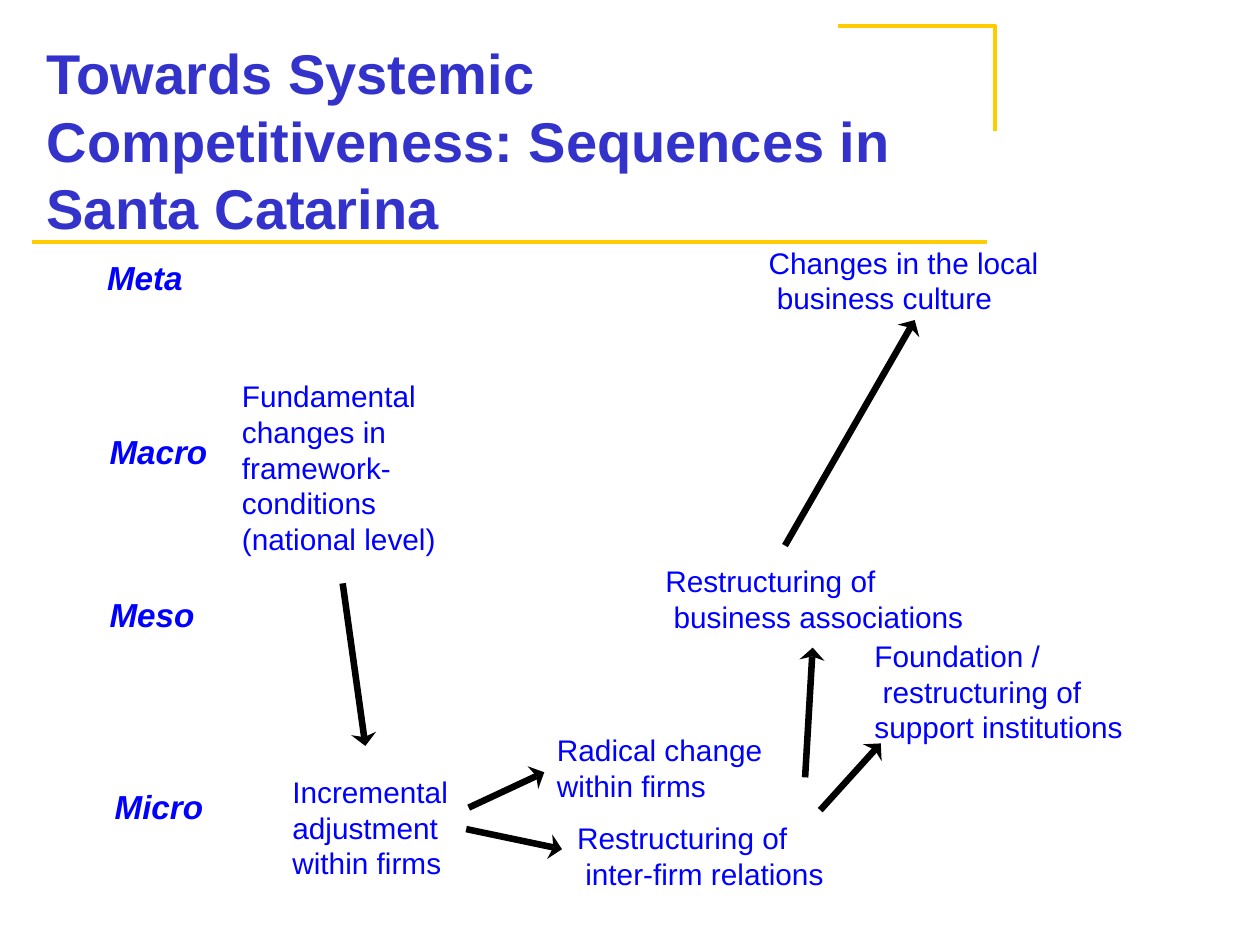
from math import hypot

from lxml import etree
from pptx import Presentation
from pptx.dml.color import RGBColor
from pptx.enum.shapes import MSO_CONNECTOR
from pptx.enum.text import MSO_ANCHOR, MSO_AUTO_SIZE, PP_ALIGN
from pptx.oxml.ns import qn
from pptx.util import Inches, Pt

STRAIGHT = MSO_CONNECTOR.STRAIGHT
MIDDLE = MSO_ANCHOR.MIDDLE
NO_FIT = MSO_AUTO_SIZE.NONE
LEFT = PP_ALIGN.LEFT

GOLD = RGBColor(0xFF, 0xCC, 0x00)
INDIGO = RGBColor(0x33, 0x33, 0xCC)
BLUE = RGBColor(0x00, 0x00, 0xFF)
BLACK = RGBColor(0x00, 0x00, 0x00)

WRAP_SLACK = 0.05
HEAD_LENGTH, HEAD_HALF_WIDTH, NECK_LENGTH = 0.1, 0.1, 0.07

LEVELS = [
    ("Meta", 0.85, 2.04, 0.6),
    ("Macro", 0.87, 3.42, 0.78),
    ("Meso", 0.87, 4.72, 0.67),
    ("Micro", 0.91, 6.24, 0.7),
]
STEPS = [
    ("Fundamental\vchanges in\vframework-\vconditions\v(national level)", 1.92, 3, 1.54, 1.42),
    ("Incremental\vadjustment\nwithin firms", 2.32, 6.14, 1.24, 0.85),
    ("Radical change\vwithin firms", 4.42, 5.81, 1.63, 0.57),
    ("Restructuring of\v inter-firm relations", 4.58, 6.51, 1.96, 0.57),
    ("Foundation /\v restructuring of\vsupport institutions", 6.94, 5.06, 1.97, 0.85),
    ("Restructuring of\v business associations", 5.28, 4.47, 2.37, 0.57),
    ("Changes in the local\v business culture", 6.1, 1.94, 2.15, 0.57),
]
ARROWS = [
    (2.72, 4.63, 2.9, 5.92),
    (3.72, 6.41, 4.32, 6.13),
    (3.7, 6.58, 4.46, 6.74),
    (6.39, 6.17, 6.45, 5.14),
    (6.51, 6.43, 6.99, 5.9),
    (6.23, 4.33, 7.26, 2.54),
]

deck = Presentation()
deck.slide_width, deck.slide_height = Inches(10), Inches(7.5)
page = deck.slides.add_slide(deck.slide_layouts[5])


def add_line(x1, y1, x2, y2, color, width):
    line = page.shapes.add_connector(STRAIGHT, Inches(x1), Inches(y1), Inches(x2), Inches(y2))
    line.line.color.rgb = color
    line.line.width = Pt(width)
    etree.SubElement(line._element.spPr, qn("a:effectLst"))


def format_text(frame, size, color, bold=False, italic=False):
    frame.word_wrap = True
    frame.auto_size = NO_FIT
    for para in frame.paragraphs:
        para.alignment = LEFT
        para.font.name = "Arial"
        para.font.size = Pt(size)
        para.font.bold = bold
        para.font.italic = italic
        para.font.color.rgb = color


add_line(0.25, 1.92, 7.83, 1.92, GOLD, 2)
builder = page.shapes.build_freeform(Inches(6.65), Inches(0.21))
builder.add_line_segments([(Inches(7.9), Inches(0.21)), (Inches(7.9), Inches(1.04))], close=False)
corner = builder.convert_to_shape()
corner.shadow.inherit = False
corner.fill.background()
corner.line.color.rgb = GOLD
corner.line.width = Pt(2.25)

title = page.shapes.title
title.left, title.top, title.width, title.height = Inches(0.27), Inches(0.36), Inches(7.48), Inches(1.5)
title.text_frame.text = "Towards Systemic Competitiveness: Sequences in Santa Catarina"
title.text_frame.vertical_anchor = MIDDLE
format_text(title.text_frame, 32, INDIGO, bold=True)

labels = [(*level, 0.32, 19, True) for level in LEVELS] + [(*step, 17, False) for step in STEPS]
for text, left, top, width, height, size, strong in labels:
    box = page.shapes.add_textbox(Inches(left), Inches(top), Inches(width + WRAP_SLACK), Inches(height))
    frame = box.text_frame
    frame.margin_left = frame.margin_top = frame.margin_right = frame.margin_bottom = 0
    frame.text = text
    format_text(frame, size, BLUE, bold=strong, italic=strong)

for x1, y1, tip_x, tip_y in ARROWS:
    length = hypot(tip_x - x1, tip_y - y1)
    dx, dy = (tip_x - x1) / length, (tip_y - y1) / length
    neck = (tip_x - NECK_LENGTH * dx, tip_y - NECK_LENGTH * dy)
    base_x, base_y = tip_x - HEAD_LENGTH * dx, tip_y - HEAD_LENGTH * dy
    barbs = [(base_x - side * dy, base_y + side * dx) for side in (-HEAD_HALF_WIDTH, HEAD_HALF_WIDTH)]
    add_line(x1, y1, *neck, BLACK, 3.75)
    builder = page.shapes.build_freeform(Inches(tip_x), Inches(tip_y))
    builder.add_line_segments([(Inches(x), Inches(y)) for x, y in (barbs[0], neck, barbs[1])])
    head = builder.convert_to_shape()
    head.shadow.inherit = False
    head.fill.solid()
    head.fill.fore_color.rgb = BLACK
    head.line.fill.background()

deck.save("out.pptx")
